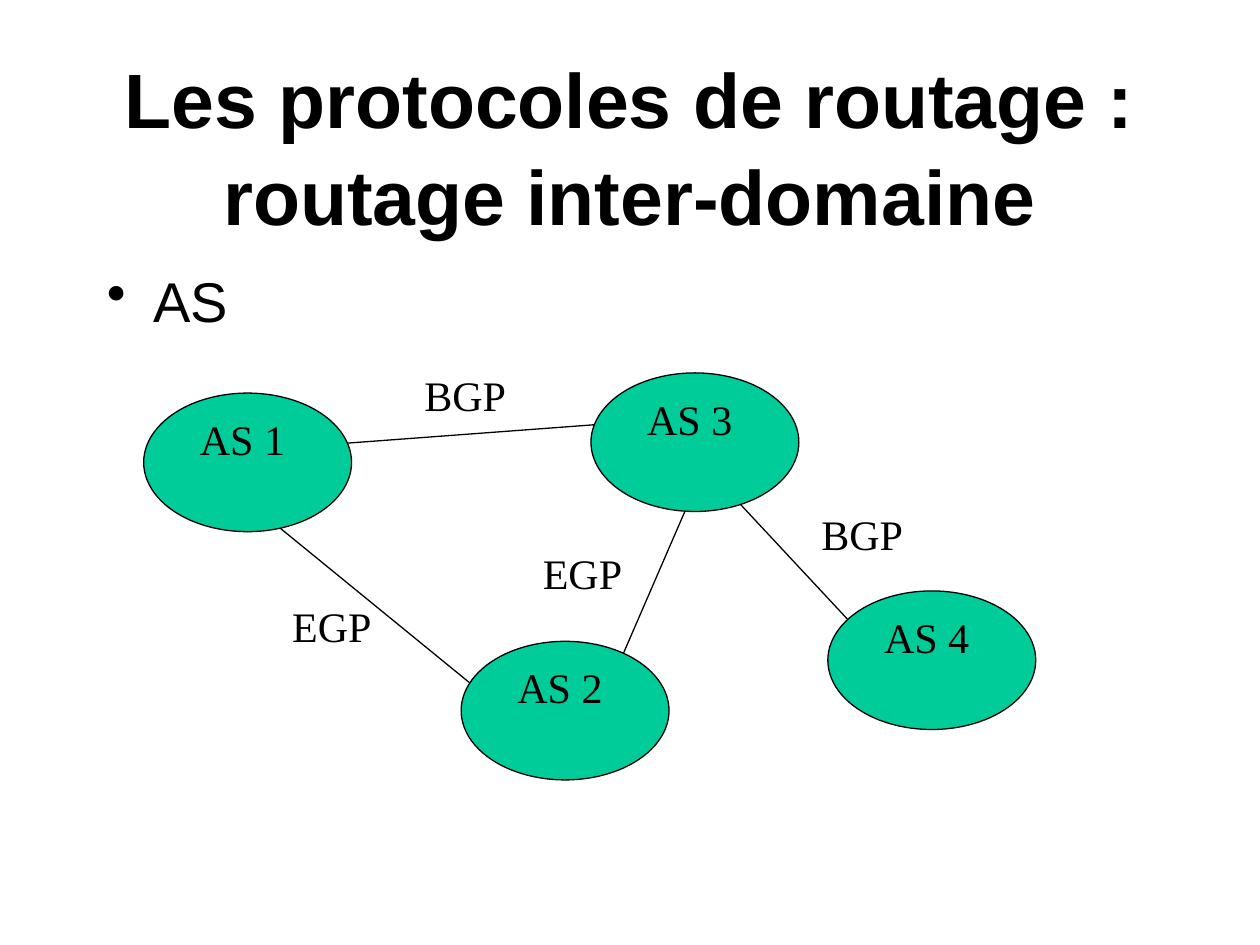
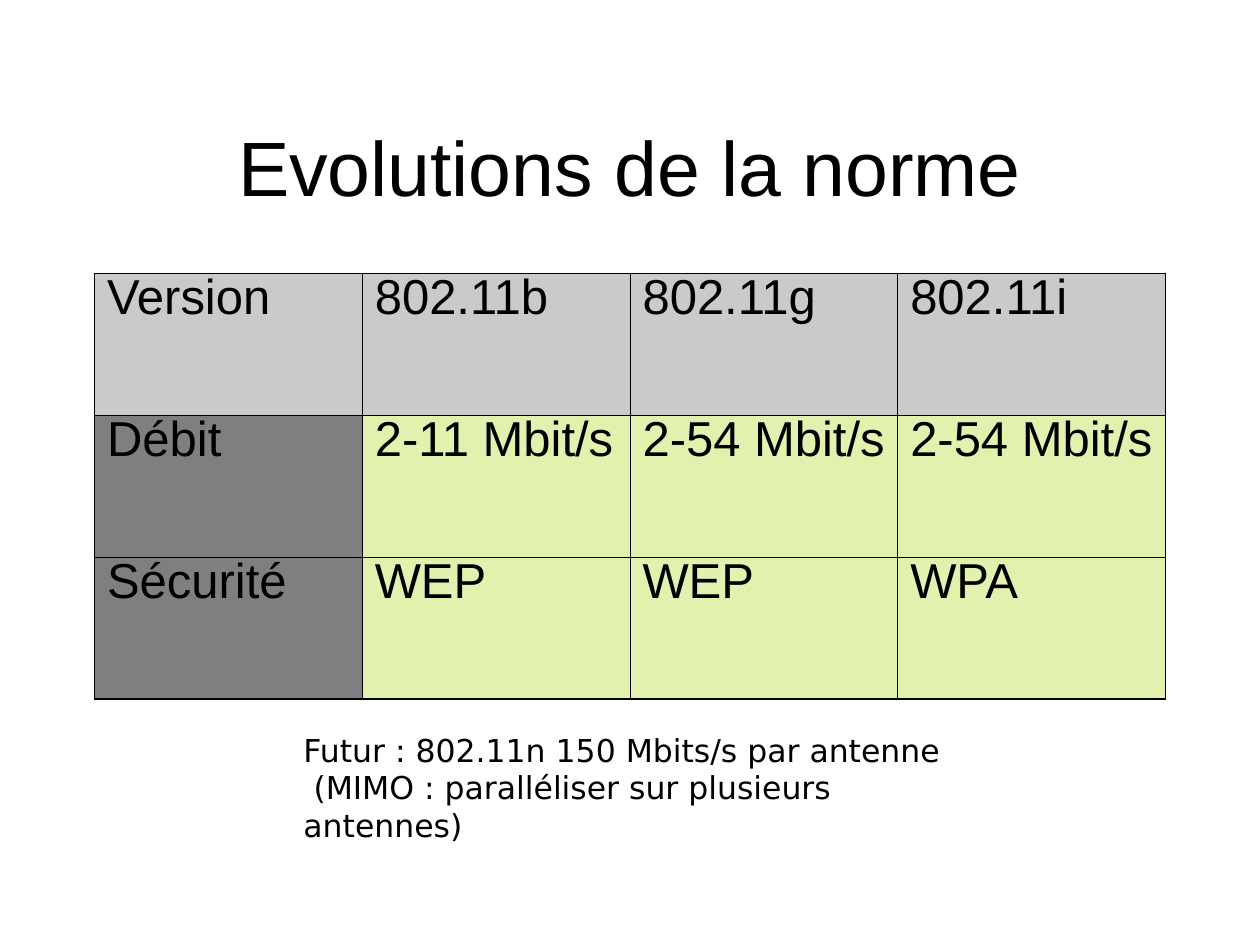
import pptx
import pptx.util
import pptx.dml.color
import pptx.enum.shapes
import pptx.enum.text
import pptx.oxml.ns
import lxml.etree

RGBColor = pptx.dml.color.RGBColor
Pt = pptx.util.Pt
Anchor = pptx.enum.text.MSO_ANCHOR
Align = pptx.enum.text.PP_ALIGN
qn = pptx.oxml.ns.qn

BLACK = RGBColor(0, 0, 0)
GREEN = RGBColor(0x00, 0xCC, 0x99)
GREY = RGBColor(0x96, 0x96, 0x96)
LIME = RGBColor(0xC8, 0xE5, 0x60)
SANS, SERIF, NOTE = "Arial", "Times New Roman", "DejaVu Sans"

COLUMNS = 100
SLIDE_WIDTH, SLIDE_HEIGHT = pptx.util.Inches(10), pptx.util.Inches(7.5)
STEP = SLIDE_WIDTH / COLUMNS
MARGIN, CONTENT_TOP, CONTENT_WIDTH = 7.5, 21.7, 85

ROUTING_TITLE = "Les protocoles de routage : routage inter-domaine"
ROUTING_BULLET = "AS"
SYSTEM_SIZE = (16.5, 11)
SYSTEMS = {
    "AS 1": (11.4, 31.2),
    "AS 3": (46.9, 29.6),
    "AS 2": (36.6, 50.9),
    "AS 4": (65.7, 46.9),
}
LINKS = [
    ((21.6, 41.4), (39, 55.6)),
    ((49.2, 52.5), (54.7, 39.8)),
    ((27.2, 35.2), (50, 33.5)),
    ((57.9, 39.1), (68.9, 50.9)),
]
LABEL_SIZE = (8.5, 5)
LABELS = [
    ("EGP", (22.2, 47.2)),
    ("BGP", (32.7, 28.8)),
    ("EGP", (42.1, 43)),
    ("BGP", (64.2, 39.9)),
]

NORM_TITLE = "Evolutions de la norme"
NORM_ROWS = [
    ("Version", "802.11b", "802.11g", "802.11i"),
    ("Débit", "2-11 Mbit/s", "2-54 Mbit/s", "2-54 Mbit/s"),
    ("Sécurité", "WEP", "WEP", "WPA"),
]
NORM_HEIGHT = 33.8
OUTER_LINE, INNER_LINE = 1.08, 0.45
FUTURE = [
    ("Futur : 802.11n 150 Mbits/s par antenne", 0),
    ("(MIMO : paralléliser sur plusieurs antennes)", 0.8),
]


def steps(*values):
    return [round(value * STEP) for value in values]


def write(frame, text, font=SANS, size=24, bold=False, align=Align.LEFT,
          spacing=None, bullet=None, left=0, first=0, more=False):
    para = frame.add_paragraph() if more else frame.paragraphs[0]
    para.alignment = align
    para.space_before = Pt(0)
    if spacing:
        para.line_spacing = spacing
    settings = para._p.get_or_add_pPr()
    settings.set("marL", str(steps(left)[0]))
    settings.set("indent", str(steps(first)[0]))
    if bullet:
        lxml.etree.SubElement(settings, qn("a:buChar")).set("char", bullet)
    span = para.add_run()
    span.text = text
    span.font.name = font
    span.font.size = Pt(size)
    span.font.bold = bold
    span.font.color.rgb = BLACK


def add_box(page, place, wrap=True):
    frame = page.shapes.add_textbox(*steps(*place)).text_frame
    frame.word_wrap = wrap
    return frame


def add_page(deck, title, top, height, bold=False):
    page = deck.slides.add_slide(deck.slide_layouts[5])
    holder = page.shapes.title
    holder.left, holder.top, holder.width, holder.height = steps(
        MARGIN, top, CONTENT_WIDTH, height)
    frame = holder.text_frame
    frame.auto_size = pptx.enum.text.MSO_AUTO_SIZE.NONE
    frame.vertical_anchor = Anchor.MIDDLE
    write(frame, title, size=44, bold=bold, align=Align.CENTER, spacing=1.05)
    return page


def add_link(page, start, end):
    link = page.shapes.add_connector(
        pptx.enum.shapes.MSO_CONNECTOR.STRAIGHT, *steps(*start, *end))
    link.line.color.rgb = BLACK
    link.line.width = Pt(0.75)
    lxml.etree.SubElement(link._element.spPr, qn("a:effectLst"))


def add_system(page, name, corner):
    system = page.shapes.add_shape(
        pptx.enum.shapes.MSO_SHAPE.OVAL, *steps(*corner, *SYSTEM_SIZE))
    system.shadow.inherit = False
    system.fill.solid()
    system.fill.fore_color.rgb = GREEN
    system.line.color.rgb = BLACK
    system.line.width = Pt(0.75)
    frame = system.text_frame
    frame.vertical_anchor = Anchor.TOP
    frame.margin_top = frame.margin_bottom = 0
    frame.margin_left, frame.margin_right = steps(1, 1.8)
    write(frame, name, font=SERIF, align=Align.CENTER)


def fill_half(cell, color):
    cell.fill.solid()
    cell.fill.fore_color.rgb = color
    tint = cell._tc.tcPr.find(".//" + qn("a:srgbClr"))
    lxml.etree.SubElement(tint, qn("a:alpha")).set("val", "50000")


def draw_borders(cell, outer_sides):
    settings = cell._tc.get_or_add_tcPr()
    for index, side in enumerate("LRTB"):
        width = OUTER_LINE if side in outer_sides else INNER_LINE
        border = lxml.etree.Element(qn("a:ln" + side), w=str(Pt(width)))
        paint = lxml.etree.SubElement(border, qn("a:solidFill"))
        lxml.etree.SubElement(paint, qn("a:srgbClr")).set("val", str(BLACK))
        settings.insert(index, border)


def add_norm_table(page):
    last_row, last_column = len(NORM_ROWS) - 1, len(NORM_ROWS[0]) - 1
    table = page.shapes.add_table(
        last_row + 1, last_column + 1,
        *steps(MARGIN, CONTENT_TOP, CONTENT_WIDTH, NORM_HEIGHT)).table
    table.first_row = table.horz_banding = False
    for row, values in enumerate(NORM_ROWS):
        for column, value in enumerate(values):
            cell = table.cell(row, column)
            write(cell.text_frame, value, size=28, spacing=0.8)
            fill_half(cell, GREY if row == 0 else BLACK if column == 0 else LIME)
            edges = {"L": column == 0, "R": column == last_column,
                     "T": row == 0, "B": row == last_row}
            draw_borders(cell, [side for side in edges if edges[side]])


def build_routing(deck):
    page = add_page(deck, ROUTING_TITLE, 3.5, 15.9, bold=True)
    body = add_box(page, (MARGIN, CONTENT_TOP, CONTENT_WIDTH, 45))
    write(body, ROUTING_BULLET, size=32, spacing=0.8, bullet="•",
          left=3.7, first=-3.7)
    for start, end in LINKS:
        add_link(page, start, end)
    for name, corner in SYSTEMS.items():
        add_system(page, name, corner)
    for text, corner in LABELS:
        write(add_box(page, (*corner, *LABEL_SIZE), wrap=False), text, font=SERIF)


def build_norm(deck):
    page = add_page(deck, NORM_TITLE, 6.7, 12.5)
    add_norm_table(page)
    frame = add_box(page, (23.1, 57.5, 53.9, 7))
    for index, (text, first) in enumerate(FUTURE):
        write(frame, text, font=NOTE, size=18, first=first, more=index > 0)


def main():
    deck = pptx.Presentation()
    deck.slide_width, deck.slide_height = SLIDE_WIDTH, SLIDE_HEIGHT
    build_routing(deck)
    build_norm(deck)
    deck.save("out.pptx")


if __name__ == "__main__":
    main()
